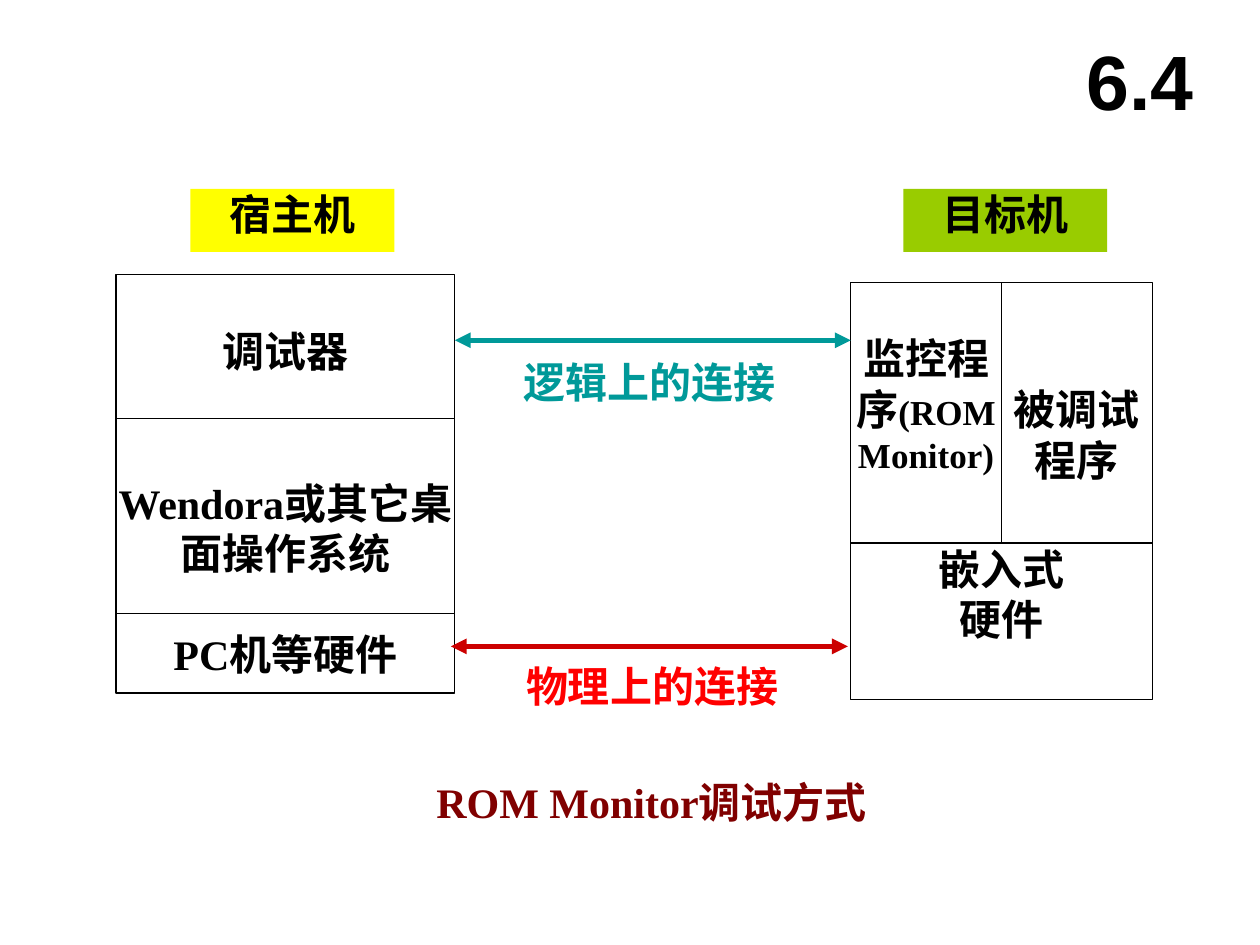
"""Build the ROM Monitor debugging slide with its host and target machines."""
from dataclasses import dataclass
from typing import Optional

from lxml.etree import SubElement
from pptx import Presentation
from pptx.dml.color import RGBColor
from pptx.enum.shapes import MSO_CONNECTOR, MSO_SHAPE
from pptx.enum.text import MSO_ANCHOR, PP_ALIGN
from pptx.oxml.ns import qn
from pptx.slide import Slide
from pptx.text.text import TextFrame
from pptx.util import Cm, Pt


@dataclass(frozen=True)
class Theme:
    ink: str = "000000"
    paper: str = "FFFFFF"
    host: str = "FFFF00"
    target: str = "99CC00"
    logical: str = "009999"
    physical: str = "FF0000"
    physical_arrow: str = "CC0000"
    caption: str = "800000"
    serif: str = "Times New Roman"
    sans: str = "Arial"
    body: float = 24
    small: float = 20
    number: float = 44
    blank_line: float = 29
    thin: float = 0.75
    thick: float = 3


THEME = Theme()


@dataclass(frozen=True)
class Words:
    text: str
    size: float = THEME.body
    color: str = THEME.ink
    font: str = THEME.serif


@dataclass(frozen=True)
class Paragraph:
    words: tuple[Words, ...]
    lines_before: int = 0


@dataclass(frozen=True)
class Block:
    left: float
    top: float
    width: float
    height: float
    paragraphs: tuple[Paragraph, ...]
    fill: str = THEME.paper
    outlined: bool = False


@dataclass(frozen=True)
class Rule:
    start: float
    end: float
    y: float
    color: str = THEME.ink
    weight: float = THEME.thin
    arrows: bool = False


@dataclass(frozen=True)
class Heading:
    left: float
    top: float
    width: float
    height: float
    words: Words
    wrap: bool


def line(text: str, lines_before: int = 0, color: str = THEME.ink) -> Paragraph:
    return Paragraph((Words(text, color=color),), lines_before)


HOST_LEFT, HOST_TOP, HOST_WIDTH = 2.34, 5.54, 6.83
HOST_RIGHT = HOST_LEFT + HOST_WIDTH
TARGET_LEFT, TARGET_TOP = 17.15, 5.69
PROGRAM_WIDTH, PROGRAM_HEIGHT = 3.04, 5.26
LABEL_TOP, LABEL_WIDTH, LABEL_HEIGHT = 3.81, 4.11, 1.27
LINK_WIDTH, LINK_HEIGHT = 6.83, 1.73

MACHINES = (
    Block(HOST_LEFT, HOST_TOP, HOST_WIDTH, 8.43, (
        line("调试器", 1),
        line("Wendora或其它桌面操作系统", 2),
        line("PC机等硬件", 1),
    ), outlined=True),
    Block(TARGET_LEFT, TARGET_TOP + PROGRAM_HEIGHT, 2 * PROGRAM_WIDTH, 3.15,
          (line("嵌入式"), line("硬件")), outlined=True),
    Block(TARGET_LEFT, TARGET_TOP, PROGRAM_WIDTH, PROGRAM_HEIGHT, (
        Paragraph((Words("监控程序"), Words("(ROM Monitor)", THEME.small)), 1),
    ), outlined=True),
    Block(TARGET_LEFT + PROGRAM_WIDTH, TARGET_TOP, PROGRAM_WIDTH, PROGRAM_HEIGHT,
          (line("被调试程序", 2),), outlined=True),
)
LABELS = (
    Block(3.84, LABEL_TOP, LABEL_WIDTH, LABEL_HEIGHT, (line("宿主机"),), THEME.host),
    Block(18.21, LABEL_TOP, LABEL_WIDTH, LABEL_HEIGHT, (line("目标机"),), THEME.target),
    Block(9.68, 7.19, LINK_WIDTH, LINK_HEIGHT,
          (line("逻辑上的连接", color=THEME.logical),)),
    Block(9.73, 13.31, LINK_WIDTH, LINK_HEIGHT,
          (line("物理上的连接", color=THEME.physical),)),
)
RULES = (
    Rule(HOST_LEFT, HOST_RIGHT, 8.43),
    Rule(HOST_LEFT, HOST_RIGHT, 12.37),
    Rule(9.09, 17.09, 13.03, THEME.physical_arrow, THEME.thick, True),
    Rule(HOST_RIGHT, TARGET_LEFT, 6.86, THEME.logical, THEME.thick, True),
)
HEADINGS = (
    Heading(2.34, 15.52, 21.59, 1.27,
            Words("ROM Monitor调试方式", color=THEME.caption), False),
    Heading(21.39, 0.43, 3.18, 2.34,
            Words("6.4", THEME.number, font=THEME.sans), True),
)


def write(frame: TextFrame, paragraphs: tuple[Paragraph, ...]) -> None:
    for index, content in enumerate(paragraphs):
        paragraph = frame.add_paragraph() if index else frame.paragraphs[0]
        paragraph.alignment = PP_ALIGN.CENTER
        if index:
            paragraph.space_before = Pt(content.lines_before * THEME.blank_line)
        for words in content.words:
            run = paragraph.add_run()
            run.text = words.text
            run.font.name = words.font
            run.font.size = Pt(words.size)
            run.font.bold = True
            run.font.color.rgb = RGBColor.from_string(words.color)


def draw_block(slide: Slide, block: Block) -> None:
    box = slide.shapes.add_shape(MSO_SHAPE.RECTANGLE, Cm(block.left), Cm(block.top),
                                 Cm(block.width), Cm(block.height))
    box.shadow.inherit = False
    box.fill.solid()
    box.fill.fore_color.rgb = RGBColor.from_string(block.fill)
    if block.outlined:
        box.line.color.rgb = RGBColor.from_string(THEME.ink)
        box.line.width = Pt(THEME.thin)
    else:
        box.line.fill.background()
    frame = box.text_frame
    frame.word_wrap = True
    frame.vertical_anchor = MSO_ANCHOR.TOP
    frame.margin_left = frame.margin_right = frame.margin_bottom = 0
    frame.margin_top = Pt(block.paragraphs[0].lines_before * THEME.blank_line)
    write(frame, block.paragraphs)


def draw_rule(slide: Slide, rule: Rule) -> None:
    connector = slide.shapes.add_connector(MSO_CONNECTOR.STRAIGHT, Cm(rule.start),
                                           Cm(rule.y), Cm(rule.end), Cm(rule.y))
    connector.line.color.rgb = RGBColor.from_string(rule.color)
    connector.line.width = Pt(rule.weight)
    if rule.arrows:
        outline = connector.line._get_or_add_ln()
        for end in ("a:headEnd", "a:tailEnd"):
            SubElement(outline, qn(end), type="triangle")
    SubElement(connector._element.spPr, qn("a:effectLst"))


def draw_heading(slide: Slide, heading: Heading) -> None:
    frame = slide.shapes.add_textbox(Cm(heading.left), Cm(heading.top),
                                     Cm(heading.width), Cm(heading.height)).text_frame
    frame.word_wrap = heading.wrap
    frame.vertical_anchor = MSO_ANCHOR.MIDDLE
    write(frame, (Paragraph((heading.words,)),))


def main() -> None:
    presentation = Presentation()
    presentation.slide_width, presentation.slide_height = Cm(25.4), Cm(19.05)
    slide = presentation.slides.add_slide(presentation.slide_layouts[6])
    for block in MACHINES:
        draw_block(slide, block)
    for rule in RULES:
        draw_rule(slide, rule)
    for block in LABELS:
        draw_block(slide, block)
    for heading in HEADINGS:
        draw_heading(slide, heading)
    presentation.save("out.pptx")


if __name__ == "__main__":
    main()
